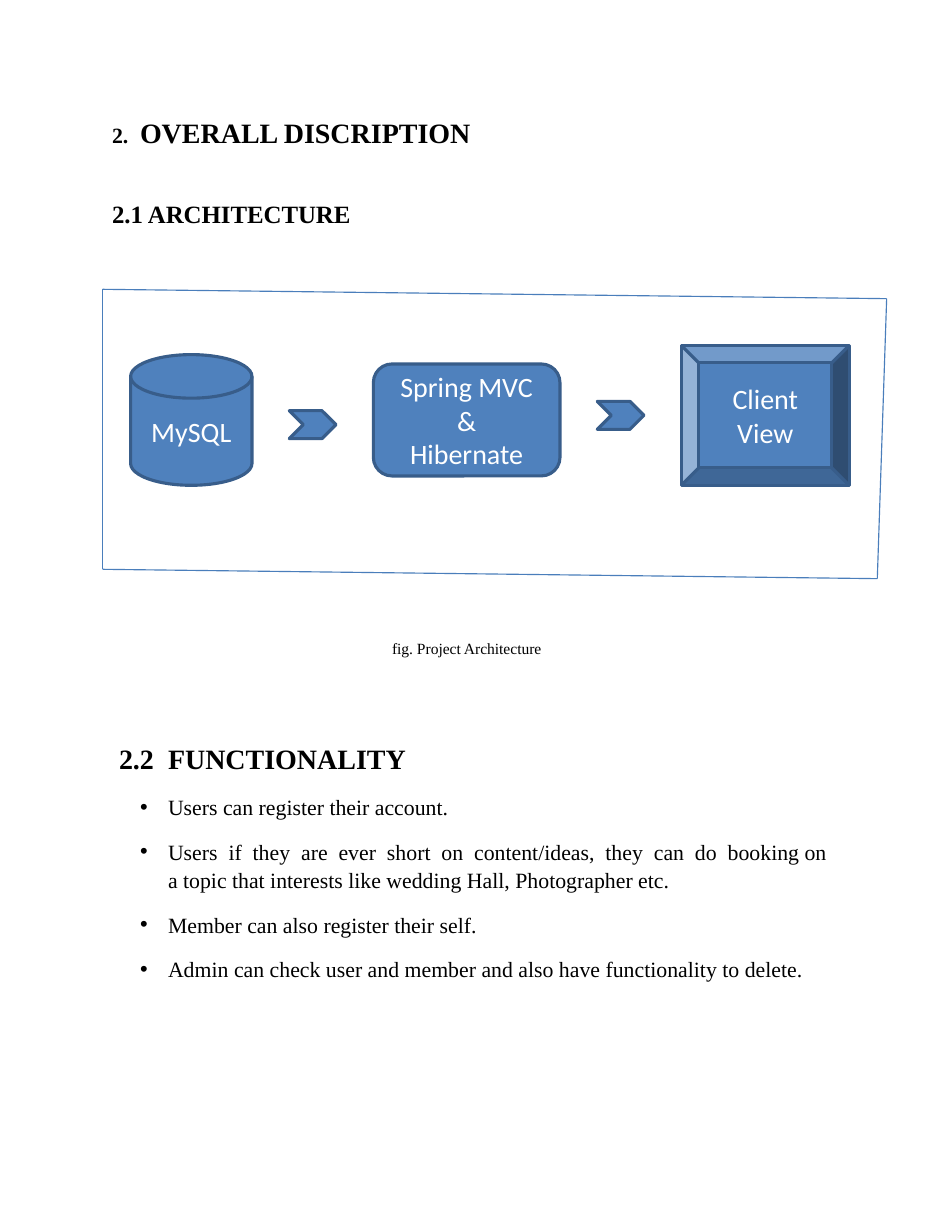
from lxml import etree
from pptx import Presentation
from pptx.dml.color import RGBColor
from pptx.enum import shapes, text
from pptx.oxml import ns
from pptx.util import Pt

SERIF, SANS = "Times New Roman", "Calibri"
BLACK, WHITE = "000000", "FFFFFF"


def color(code):
    return RGBColor.from_string(code)


def add_element(parent, tag, **attributes):
    etree.SubElement(parent, ns.qn(tag), attributes)


class Page:
    """Holds the drawing style and the slide being filled."""

    fill, outline, frame_line = "4F81BD", "385D8A", "4A7EBB"

    def __init__(self, slide):
        self.slide = slide

    def prepare(self, box, left, top, width, height):
        """Place a box and make its text start at its top left corner."""
        box.left, box.top, box.width, box.height = map(Pt, (left, top, width, height))
        frame = box.text_frame
        frame.margin_left = frame.margin_top = frame.margin_right = frame.margin_bottom = 0
        frame.word_wrap = True
        frame.vertical_anchor = text.MSO_ANCHOR.TOP
        frame.auto_size = text.MSO_AUTO_SIZE.SHAPE_TO_FIT_TEXT
        return frame

    def paragraph(self, para, words, size, bold=False, margin=0, indent=0,
                  before=0, spacing=1.0, bullet=None):
        para.text = words
        para.alignment = text.PP_ALIGN.LEFT
        para.space_before, para.line_spacing = Pt(before), spacing
        props = para._p.get_or_add_pPr()
        props.set("marL", str(Pt(margin)))
        props.set("indent", str(Pt(indent)))
        if bullet == "number":
            add_element(props, "a:buSzPct", val="78000")
            add_element(props, "a:buFont", typeface=SERIF)
            add_element(props, "a:buAutoNum", type="arabicPeriod", startAt="2")
        elif bullet:
            add_element(props, "a:buChar", char=bullet)
        else:
            add_element(props, "a:buNone")
        self.style(para, SERIF, size, BLACK, bold)

    def style(self, para, name, size, code, bold=False):
        font = para.font
        font.name, font.size, font.bold = name, Pt(size), bold
        font.color.rgb = color(code)

    def shape(self, kind, left, top, width, height, lines=()):
        shape = self.slide.shapes.add_shape(kind, *map(Pt, (left, top, width, height)))
        shape.shadow.inherit = False
        shape.fill.solid()
        shape.fill.fore_color.rgb = color(self.fill)
        shape.line.color.rgb = color(self.outline)
        shape.line.width = Pt(2)
        if lines:
            frame = shape.text_frame
            frame.word_wrap = True
            frame.vertical_anchor = text.MSO_ANCHOR.MIDDLE
            frame.text = "\n".join(lines)
            for para in frame.paragraphs:
                para.alignment = text.PP_ALIGN.CENTER
                self.style(para, SANS, 18, WHITE)

    def line(self, start, end):
        connector = self.slide.shapes.add_connector(
            shapes.MSO_CONNECTOR.STRAIGHT, *map(Pt, (*start, *end)))
        connector.line.color.rgb = color(self.frame_line)
        connector.line.width = Pt(0.75)
        add_element(connector._element.spPr, "a:effectLst")


def main():
    deck = Presentation()
    deck.slide_width, deck.slide_height = Pt(612), Pt(792)
    slide = deck.slides.add_slide(deck.slide_layouts[1])
    page = Page(slide)

    headings = page.prepare(slide.shapes.title, 71.5, 74.2, 233, 72.7)
    page.paragraph(headings.paragraphs[0], "OVERALL DISCRIPTION", 18, bold=True,
                   margin=18.5, indent=-18, bullet="number")
    page.paragraph(headings.add_paragraph(), "2.1 ARCHITECTURE", 16, bold=True,
                   margin=0.5, before=32)

    caption = page.prepare(slide.shapes.add_textbox(0, 0, 0, 0), 251.5, 411, 109, 12)
    page.paragraph(caption.paragraphs[0], "fig. Project Architecture", 10, margin=0.5)

    functions = page.prepare(slide.placeholders[1], 71.5, 476.6, 470, 155)
    page.paragraph(functions.paragraphs[0], "2.2\tFUNCTIONALITY", 18, bold=True,
                   margin=36.5, indent=-31.5)
    for words, before, spacing in (
        ("Users can register their account.", 12.2, 1.0),
        ("Users  if  they  are  ever  short  on  content/ideas,  they  can  do  booking on "
         "a topic that interests like wedding Hall, Photographer etc.", 10, 1.1),
        ("Member can also register their self.", 10, 1.1),
        ("Admin can check user and member and also have functionality to delete.", 11.6, 1.0),
    ):
        page.paragraph(functions.add_paragraph(), words, 14, margin=36.5, indent=-18,
                       before=before, spacing=spacing, bullet="•")

    kinds = shapes.MSO_SHAPE
    page.shape(kinds.FLOWCHART_MAGNETIC_DISK, 84, 228, 78, 84, ["MySQL"])
    page.shape(kinds.ROUNDED_RECTANGLE, 240, 234, 120, 72, ["Spring MVC", "&", "Hibernate"])
    page.shape(kinds.BEVEL, 438, 222, 108, 90, ["Client View"])
    for left, top in ((186, 264), (384, 258)):
        page.shape(kinds.CHEVRON, left, top, 30, 18)

    corners = [(66, 186), (570, 192), (564, 372), (66, 366)]
    for start, end in zip(corners, corners[1:] + corners[:1]):
        page.line(start, end)

    deck.save("out.pptx")


if __name__ == "__main__":
    main()
